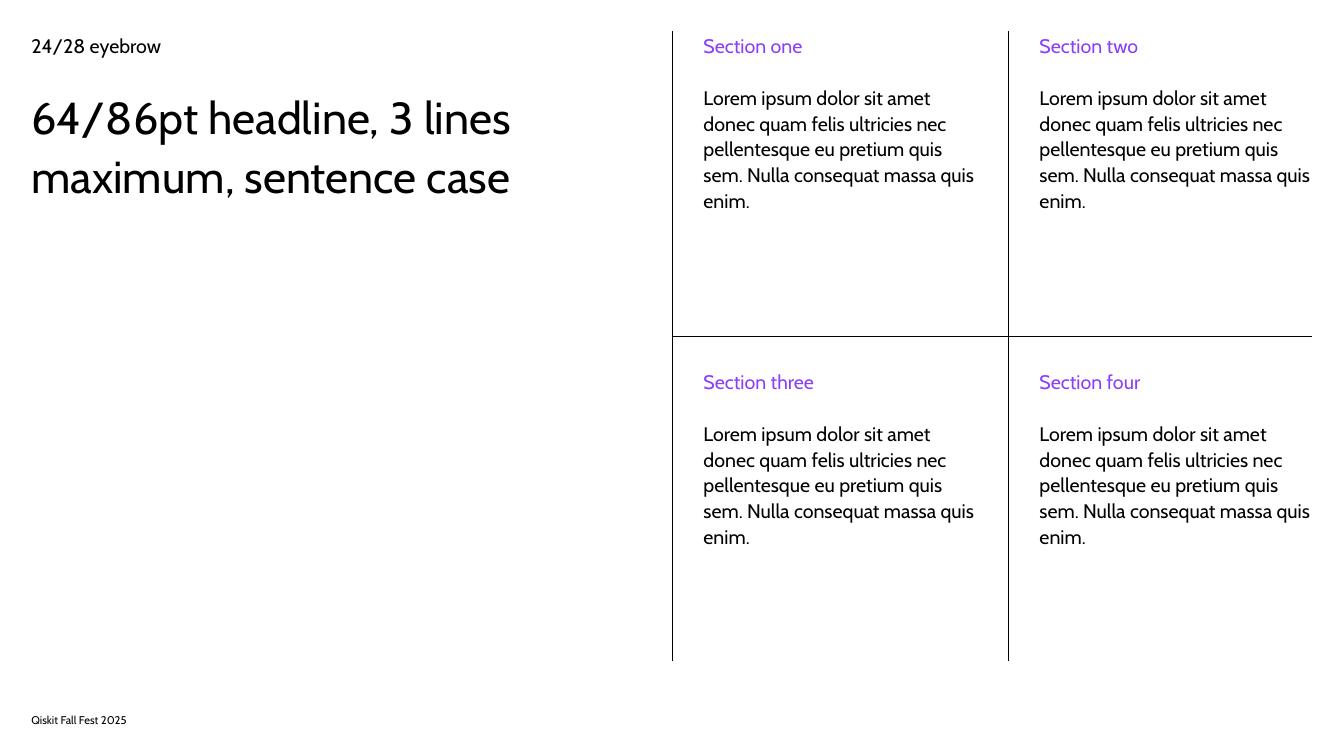
from dataclasses import dataclass
from itertools import product

from lxml.etree import SubElement
from pptx import Presentation
from pptx.dml.color import RGBColor
from pptx.enum.shapes import MSO_CONNECTOR as Conn
from pptx.enum.text import MSO_ANCHOR as Anchor
from pptx.oxml.ns import qn
from pptx.util import Pt


@dataclass(frozen=True)
class Theme:
    font: str = "Cabin"
    ink: RGBColor = RGBColor(0x00, 0x00, 0x00)
    accent: RGBColor = RGBColor(0x8A, 0x3F, 0xFC)
    paper: RGBColor = RGBColor(0xFF, 0xFF, 0xFF)
    headline: int = 64
    body: int = 28
    footer: int = 16
    leading: float = 1.1
    rule: int = 1


THEME = Theme()
WIDTH, HEIGHT = 1920, 1080
MARGIN = 45
CELL = 480
COLUMNS = (WIDTH / 2, WIDTH / 2 + CELL)
ROWS = (0, CELL)
TEXT_WIDTH = CELL - 2 * MARGIN
RULE_BOTTOM = 945

SECTIONS = ("Section one", "Section two", "Section three", "Section four")
LOREM = (
    "Lorem ipsum dolor sit amet donec quam felis ultricies nec "
    "pellentesque eu pretium quis sem. Nulla consequat massa quis enim."
)


def add_frame(s, x, y, w, h, anchor=Anchor.TOP, right=0):
    tf = s.shapes.add_textbox(Pt(x), Pt(y), Pt(w), Pt(h)).text_frame
    tf.word_wrap = True
    tf.vertical_anchor = anchor
    tf.margin_left = tf.margin_top = tf.margin_bottom = 0
    tf.margin_right = Pt(right)
    return tf


def write(p, text, size=THEME.body, color=THEME.ink, leading=THEME.leading, before=0):
    p.line_spacing = leading
    p.space_before = Pt(before)
    r = p.add_run()
    r.text = text
    r.font.name = THEME.font
    r.font.size = Pt(size)
    r.font.color.rgb = color


def add_rule(s, x1, y1, x2, y2):
    line = s.shapes.add_connector(Conn.STRAIGHT, Pt(x1), Pt(y1), Pt(x2), Pt(y2))
    line.line.color.rgb = THEME.ink
    line.line.width = Pt(THEME.rule)
    SubElement(line._element.spPr, qn("a:effectLst"))


def add_section(s, x, y, title):
    tf = add_frame(s, x + MARGIN, y + MARGIN, TEXT_WIDTH, 390)
    write(tf.paragraphs[0], title, color=THEME.accent)
    write(tf.add_paragraph(), LOREM, before=37)


def main():
    prs = Presentation()
    prs.slide_width, prs.slide_height = Pt(WIDTH), Pt(HEIGHT)
    s = prs.slides.add_slide(prs.slide_layouts[6])
    s.background.fill.solid()
    s.background.fill.fore_color.rgb = THEME.paper

    eyebrow = add_frame(s, MARGIN, MARGIN, TEXT_WIDTH, 35)
    write(eyebrow.paragraphs[0], "24/28 eyebrow")
    headline = add_frame(s, MARGIN, 120, 870, 180, right=36)
    write(
        headline.paragraphs[0],
        "64/86pt headline, 3 lines maximum, sentence case",
        size=THEME.headline,
    )

    for x in COLUMNS:
        add_rule(s, x, MARGIN, x, RULE_BOTTOM)
    add_rule(s, COLUMNS[0], CELL, WIDTH - MARGIN, CELL)
    for (y, x), title in zip(product(ROWS, COLUMNS), SECTIONS):
        add_section(s, x, y, title)

    footer = add_frame(s, MARGIN, 1008, TEXT_WIDTH, 30, anchor=Anchor.BOTTOM)
    write(footer.paragraphs[0], "Qiskit Fall Fest 2025", size=THEME.footer, leading=1.0)

    prs.save("out.pptx")


if __name__ == "__main__":
    main()
